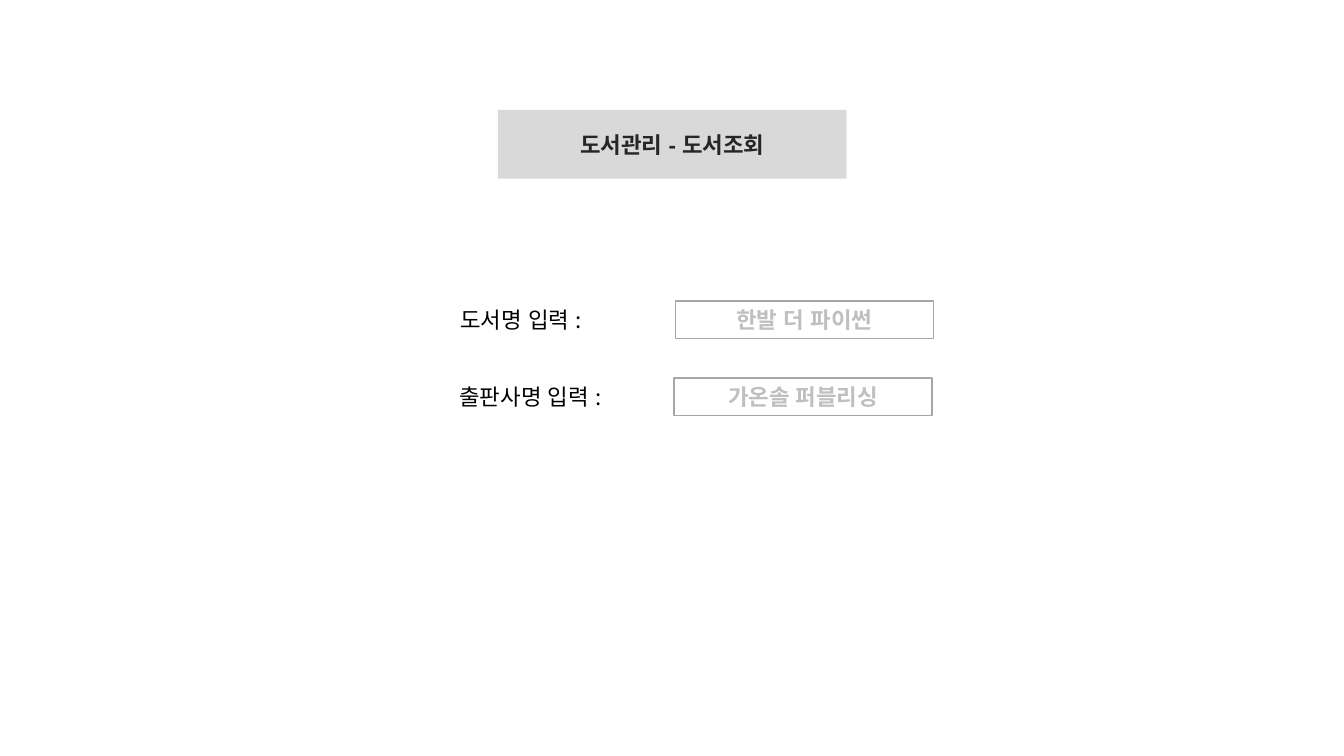
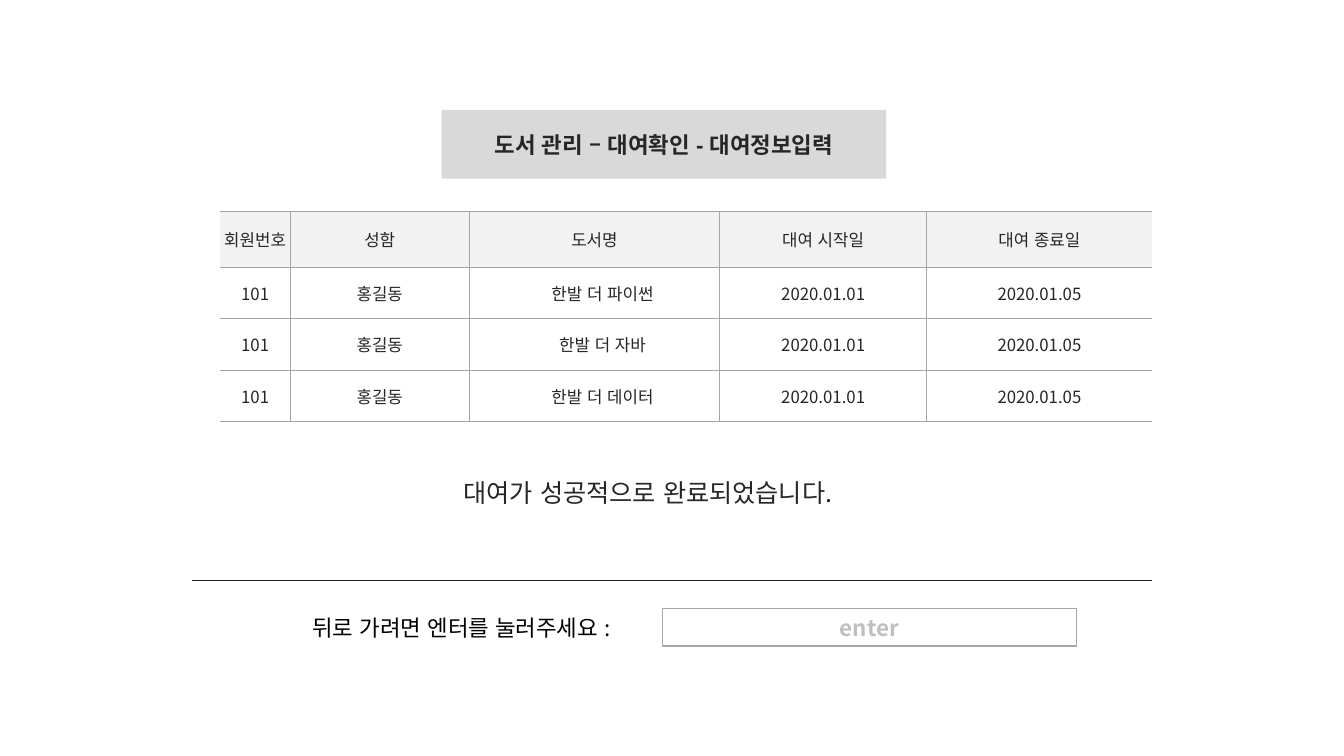
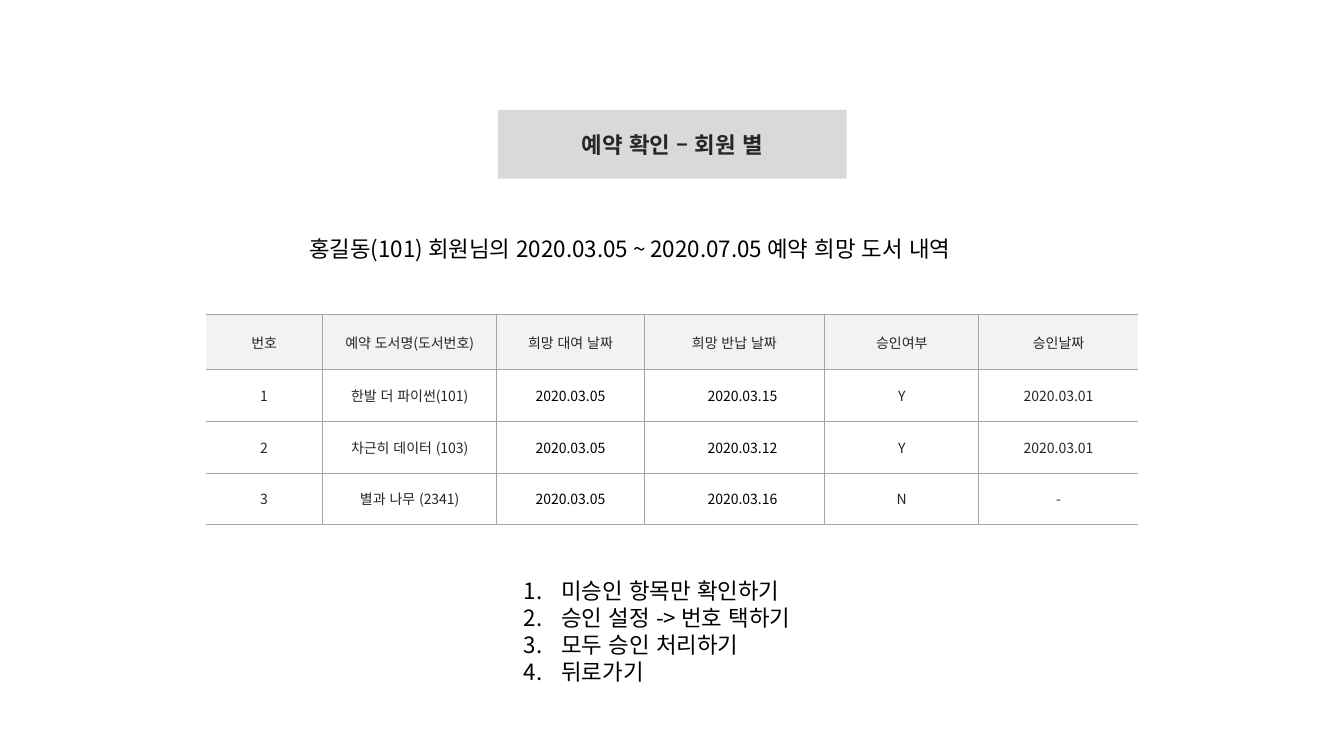
from dataclasses import dataclass

from lxml.etree import SubElement
from pptx import Presentation
from pptx.dml.color import RGBColor
from pptx.enum.lang import MSO_LANGUAGE_ID
from pptx.enum.shapes import MSO_CONNECTOR, MSO_SHAPE
from pptx.enum.text import MSO_ANCHOR, MSO_AUTO_SIZE, PP_ALIGN
from pptx.oxml.ns import qn
from pptx.util import Cm, Pt


@dataclass(frozen=True)
class Theme:
    band: str = "D9D9D9"
    header: str = "F2F2F2"
    white: str = "FFFFFF"
    border: str = "A6A6A6"
    hint: str = "BFBFBF"
    dark: str = "262626"
    black: str = "000000"
    title_font: str = "Arial"
    body_font: str = "Noto Sans CJK KR"
    body_size: int = 16
    message_size: int = 18
    border_width: float = 0.75


theme = Theme()


def add_run(paragraph, text, color, size=theme.body_size, bold=False, font=theme.body_font):
    run = paragraph.add_run()
    run.text = text
    run.font.language_id = MSO_LANGUAGE_ID.KOREAN
    run.font.name = font
    run.font.size = Pt(size)
    run.font.bold = bold
    run.font.color.rgb = RGBColor.from_string(color)
    SubElement(run.font._element, qn("a:ea"), typeface=theme.body_font)


def add_box(shapes, left, top, width, height, fill=None, line=None):
    """Add a rectangle if a fill is given, else a text box; return its first paragraph."""
    frame_size = Cm(left), Cm(top), Cm(width), Cm(height)
    if fill is None:
        shape = shapes.add_textbox(*frame_size)
        shape.text_frame.word_wrap = False
        shape.text_frame.auto_size = MSO_AUTO_SIZE.SHAPE_TO_FIT_TEXT
        return shape.text_frame.paragraphs[0]
    shape = shapes.add_shape(MSO_SHAPE.RECTANGLE, *frame_size)
    shape.shadow.inherit = False
    shape.fill.solid()
    shape.fill.fore_color.rgb = RGBColor.from_string(fill)
    if line:
        shape.line.color.rgb = RGBColor.from_string(line)
        shape.line.width = Pt(1)
    else:
        shape.line.fill.background()
    shape.text_frame.vertical_anchor = MSO_ANCHOR.MIDDLE
    paragraph = shape.text_frame.paragraphs[0]
    paragraph.alignment = PP_ALIGN.CENTER
    return paragraph


presentation = Presentation()
presentation.slide_width = Cm(33.87)
presentation.slide_height = Cm(19.05)

# Title bands: text, left, width
titles = [
    ("도서관리 - 도서조회", 12.55, 8.79),
    ("도서 관리 – 대여확인 - 대여정보입력", 11.13, 11.2),
    ("예약 확인 – 회원 별", 12.55, 8.79),
]
slides = []
for text, left, width in titles:
    slide = presentation.slides.add_slide(presentation.slide_layouts[6])
    paragraph = add_box(slide.shapes, left, 2.77, width, 1.73, theme.band)
    add_run(paragraph, text, theme.dark, bold=True, font=theme.title_font)
    slides.append(slide)
search_slide, rental_slide, reservation_slide = slides

# Tables: header and body rows share one grid style
tables = [
    {
        "slide": rental_slide, "left": 5.54, "top": 5.33, "size": 12,
        "widths": [1.78, 4.5, 6.32, 5.21, 5.69],
        "indented_column": 2, "black_columns": (),
        "rows": [["회원번호", "성함", "도서명", "대여 시작일", "대여 종료일"]] + [
            ["101", "홍길동", book, "2020.01.01", "2020.01.05"]
            for book in ("한발 더 파이썬", "한발 더 자바", "한발 더 데이터")
        ],
    },
    {
        "slide": reservation_slide, "left": 5.18, "top": 7.92, "size": 10,
        "widths": [2.95, 4.39, 3.71, 4.55, 3.89, 4.01],
        "indented_column": 3, "black_columns": (2, 3),
        "rows": [
            ["번호", "예약 도서명(도서번호)", "희망 대여 날짜", "희망 반납 날짜", "승인여부", "승인날짜"],
            ["1", "한발 더 파이썬(101)", "2020.03.05", "2020.03.15", "Y", "2020.03.01"],
            ["2", "차근히 데이터 (103)", "2020.03.05", "2020.03.12", "Y", "2020.03.01"],
            ["3", "별과 나무 (2341)", "2020.03.05", "2020.03.16", "N", "-"],
        ],
    },
]
header_height, row_height = 1.4, 1.3
for grid in tables:
    rows, widths = grid["rows"], grid["widths"]
    table_height = header_height + row_height * (len(rows) - 1)
    table = grid["slide"].shapes.add_table(
        len(rows), len(widths), Cm(grid["left"]), Cm(grid["top"]),
        Cm(sum(widths)), Cm(table_height),
    ).table
    table.first_row = table.horz_banding = False
    for column, width in zip(table.columns, widths):
        column.width = Cm(width)
    for row_index, values in enumerate(rows):
        is_header = row_index == 0
        table.rows[row_index].height = Cm(header_height if is_header else row_height)
        for column_index, text in enumerate(values):
            cell = table.cell(row_index, column_index)
            cell.vertical_anchor = MSO_ANCHOR.MIDDLE
            cell.margin_top = cell.margin_right = cell.margin_bottom = 0
            indented = not is_header and column_index == grid["indented_column"]
            cell.margin_left = Cm(0.41 if indented else 0)

            # The outer left and right sides stay open
            properties = cell._tc.get_or_add_tcPr()
            open_sides = {"lnL": column_index == 0, "lnR": column_index == len(widths) - 1}
            for side in ("lnL", "lnR", "lnT", "lnB"):
                border = SubElement(properties, qn(f"a:{side}"), w=str(Pt(theme.border_width)))
                if open_sides.get(side):
                    SubElement(border, qn("a:noFill"))
                else:
                    fill = SubElement(border, qn("a:solidFill"))
                    SubElement(fill, qn("a:srgbClr"), val=theme.border)
            cell.fill.solid()
            cell.fill.fore_color.rgb = RGBColor.from_string(
                theme.header if is_header else theme.white)

            paragraph = cell.text_frame.paragraphs[0]
            paragraph.alignment = PP_ALIGN.CENTER
            is_black = not is_header and column_index in grid["black_columns"]
            add_run(paragraph, text, theme.black if is_black else theme.dark, grid["size"])

# Input fields: slide, top, label, label left and width, hint, box left and width
fields = [
    (search_slide, 7.59, "도서명 입력 :", 11.35, 4.09, "한발 더 파이썬", 17.02, 6.5),
    (search_slide, 9.53, "출판사명 입력 :", 11.33, 4.65, "가온솔 퍼블리싱", 16.99, 6.5),
    (rental_slide, 15.34, "뒤로 가려면 엔터를 눌러주세요 :", 7.62, 9.04, "enter", 16.69, 10.44),
]
for slide, top, label, label_left, label_width, hint, box_left, box_width in fields:
    group = slide.shapes.add_group_shape()
    paragraph = add_box(group.shapes, label_left, top, label_width, 0.94)
    add_run(paragraph, label, theme.black)
    paragraph = add_box(group.shapes, box_left, top, box_width, 0.94, theme.white, theme.border)
    add_run(paragraph, hint, theme.hint, bold=True)

# Rental confirmation and divider
paragraph = add_box(rental_slide.shapes, 10.97, 11.91, 10.72, 1.02)
paragraph.alignment = PP_ALIGN.CENTER
add_run(paragraph, "대여가 성공적으로 완료되었습니다.", theme.dark, theme.message_size)

divider = rental_slide.shapes.add_connector(
    MSO_CONNECTOR.STRAIGHT, Cm(4.85), Cm(14.63), Cm(29.03), Cm(14.63))
divider.line.color.rgb = RGBColor.from_string(theme.dark)
divider.line.width = Pt(0.5)
SubElement(divider._element.spPr, qn("a:effectLst"))

# Reservation summary and numbered menu
paragraph = add_box(reservation_slide.shapes, 7.54, 5.79, 18.24, 0.94)
add_run(paragraph, "홍길동(101) 회원님의 2020.03.05 ~ 2020.07.05 예약 희망 도서 내역", theme.black)

menu = ["미승인 항목만 확인하기", "승인 설정 -> 번호 택하기", "모두 승인 처리하기", "뒤로가기"]
first_paragraph = add_box(reservation_slide.shapes, 12.95, 14.43, 8.05, 3)
menu_frame = reservation_slide.shapes[-1].text_frame
hanging = Cm(0.95)
for index, text in enumerate(menu):
    paragraph = menu_frame.add_paragraph() if index else first_paragraph
    properties = paragraph._p.get_or_add_pPr()
    properties.set("marL", str(hanging))
    properties.set("indent", str(-hanging))
    SubElement(properties, qn("a:buAutoNum"), type="arabicPeriod")
    add_run(paragraph, text, theme.black)

presentation.save("out.pptx")
